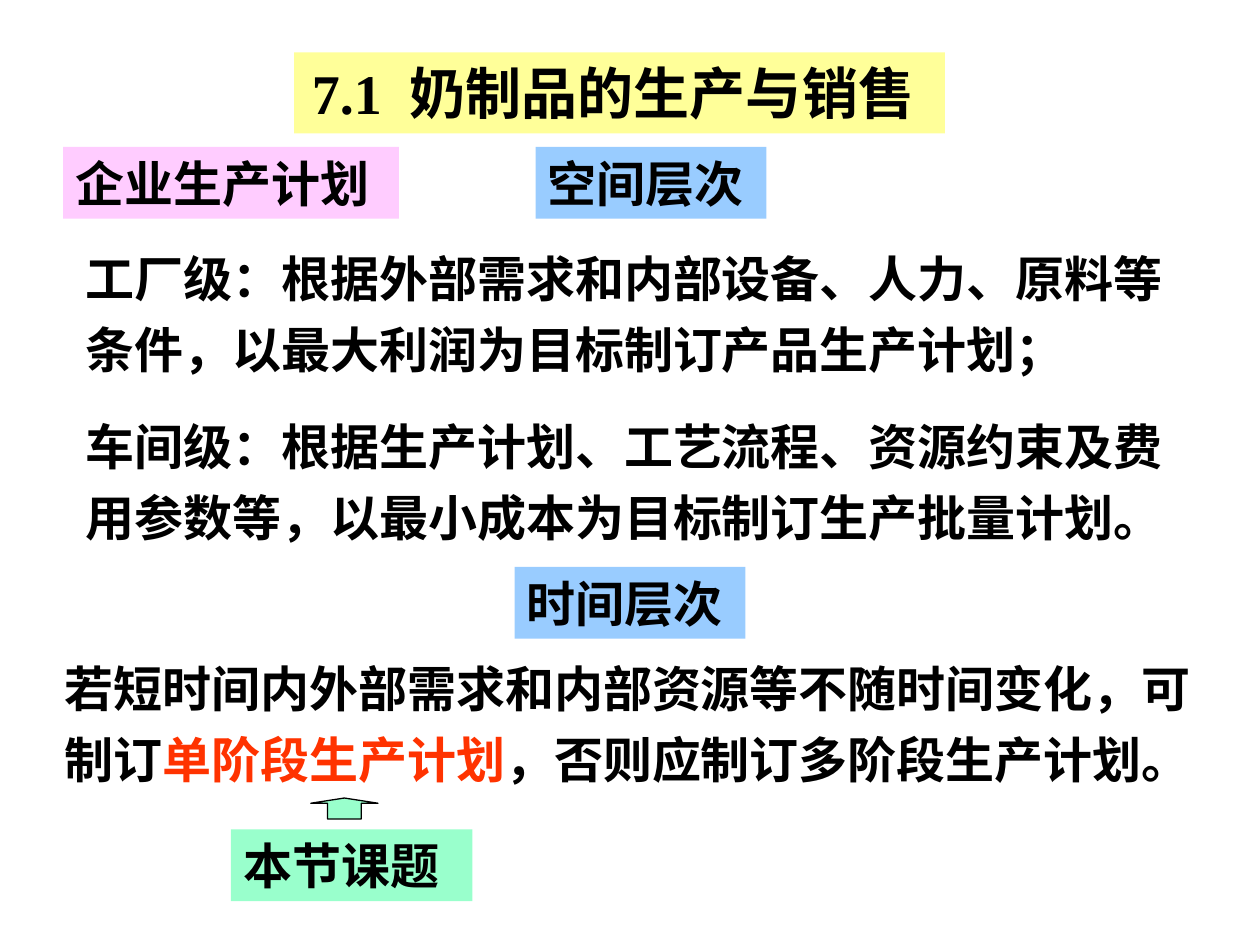
from pptx import Presentation
from pptx import util as u
from pptx.dml.color import RGBColor
from pptx.enum import shapes, text

COLORS = {
    "ink": "000000",
    "accent": "FF3300",
    "title": "FFFF99",
    "plan": "FFCCFF",
    "level": "99CCFF",
    "topic": "99FFCC",
}
LATIN, CHINESE = "Times New Roman", "Noto Sans CJK SC"
LABEL_HEIGHT, BODY_HEIGHT = 6.84, 14.64


def grid(*units):
    """Convert units of a twelfth of an inch to lengths."""
    return [u.Inches(unit / 12) for unit in units]


def color(name):
    return RGBColor.from_string(COLORS[name])


def paint(shape, name):
    shape.fill.solid()
    shape.fill.fore_color.rgb = color(name)


def write(shape, runs, size=28, align=text.PP_ALIGN.LEFT, spacing=1.0):
    """Fill a shape with one paragraph of (words, font, colour) runs."""
    frame = shape.text_frame
    frame.word_wrap = True
    frame.auto_size = text.MSO_AUTO_SIZE.NONE
    frame.vertical_anchor = text.MSO_ANCHOR.TOP
    paragraph = frame.paragraphs[0]
    paragraph.alignment = align
    paragraph.line_spacing = spacing
    paragraph.space_before = u.Pt(0)
    for words, font, name in runs:
        run = paragraph.add_run()
        run.text = words
        run.font.name = font
        run.font.size = u.Pt(size)
        run.font.bold = True
        run.font.color.rgb = color(name)


def add_title(slide):
    title = slide.shapes.title
    title.left, title.top, title.width, title.height = grid(28, 5, 62, 7.7)
    paint(title, "title")
    write(title, [("7.1  ", LATIN, "ink"), ("奶制品的生产与销售 ", CHINESE, "ink")],
          size=32, align=text.PP_ALIGN.CENTER)


def add_label(parent, words, left, top, width, fill):
    label = parent.shapes.add_shape(
        shapes.MSO_SHAPE.RECTANGLE, *grid(left, top, width, LABEL_HEIGHT))
    label.shadow.inherit = False
    label.line.fill.background()
    paint(label, fill)
    write(label, [(words, LATIN, "ink")])


def add_body(slide, left, top, width, *runs):
    box = slide.shapes.add_textbox(*grid(left, top, width, BODY_HEIGHT))
    write(box, [(words, LATIN, name) for words, name in runs], spacing=1.2)


def add_topic(slide):
    """Group the topic label with the arrow that points up from it."""
    group = slide.shapes.add_group_shape()
    add_label(group, "本节课题", 22, 79, 23, "topic")
    arrow = group.shapes.add_shape(
        shapes.MSO_SHAPE.UP_ARROW, *grid(29.6, 76, 6.4, 2))
    arrow.adjustments[0] = 0.5
    arrow.adjustments[1] = 0.25
    arrow.shadow.inherit = False
    paint(arrow, "topic")
    arrow.line.color.rgb = color("ink")
    arrow.line.width = u.Pt(0.75)


def main():
    presentation = Presentation()
    presentation.slide_width = u.Inches(10)
    presentation.slide_height = u.Inches(7.5)
    slide = presentation.slides.add_slide(presentation.slide_layouts[5])

    add_title(slide)
    add_label(slide, "企业生产计划", 6, 14, 32, "plan")
    add_label(slide, "空间层次", 51, 14, 22, "level")
    add_body(slide, 7, 22, 107,
             ("工厂级：根据外部需求和内部设备、人力、原料等条件，"
              "以最大利润为目标制订产品生产计划；", "ink"))
    add_body(slide, 7, 38, 107,
             ("车间级：根据生产计划、工艺流程、资源约束及费用参数等，"
              "以最小成本为目标制订生产批量计划。", "ink"))
    add_label(slide, "时间层次", 49, 54, 22, "level")
    add_body(slide, 5, 61, 111,
             ("若短时间内外部需求和内部资源等不随时间变化，可制订", "ink"),
             ("单阶段生产计划", "accent"),
             ("，否则应制订多阶段生产计划。", "ink"))
    add_topic(slide)
    presentation.save("out.pptx")


if __name__ == "__main__":
    main()
